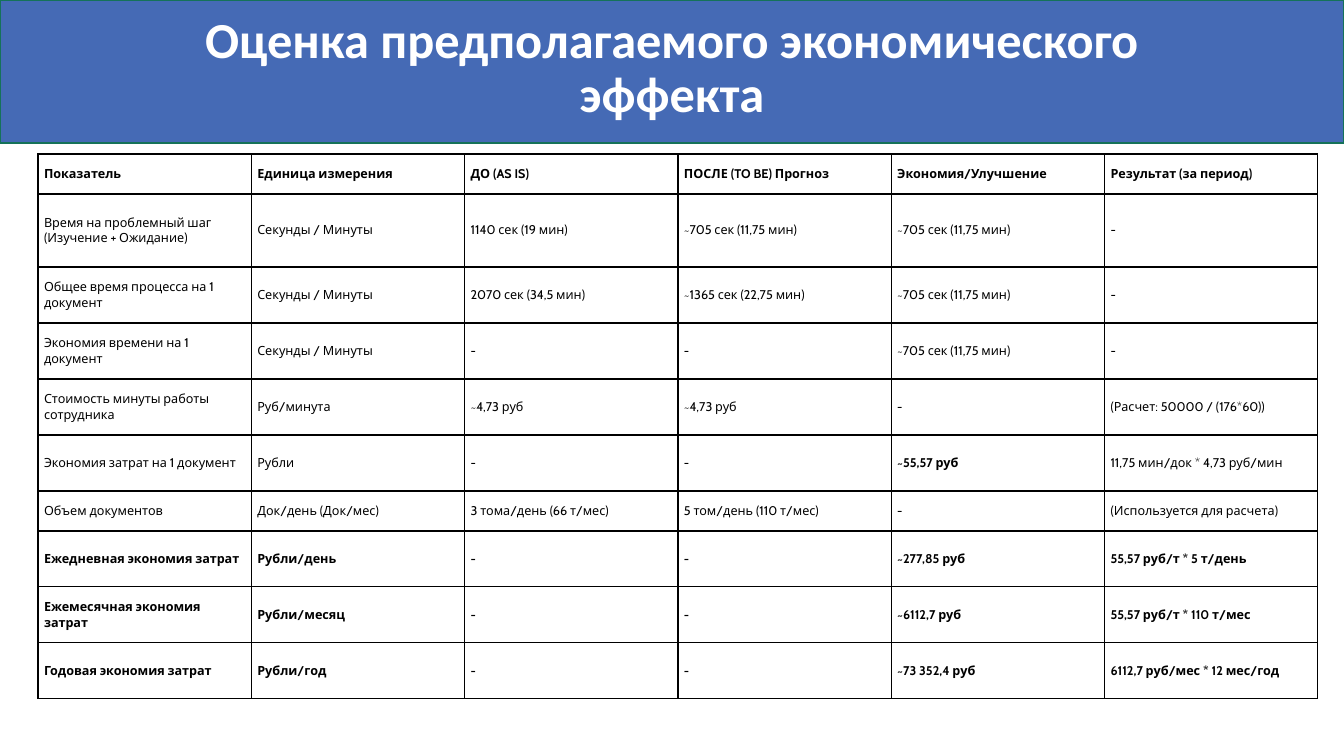
from dataclasses import dataclass

from lxml import etree
from pptx import Presentation
from pptx.dml.color import RGBColor
from pptx.enum.shapes import MSO_SHAPE
from pptx.enum.text import MSO_ANCHOR, MSO_AUTO_SIZE, PP_ALIGN
from pptx.oxml.ns import qn
from pptx.util import Emu, Pt

RECTANGLE = MSO_SHAPE.RECTANGLE
MIDDLE, BOTTOM = MSO_ANCHOR.MIDDLE, MSO_ANCHOR.BOTTOM
CENTER = PP_ALIGN.CENTER
NO_AUTOFIT = MSO_AUTO_SIZE.NONE
PIXELS_PER_INCH = 100.8
TITLE_ONLY = 5

TITLE = "Оценка предполагаемого экономического эффекта"
SECONDS = "Секунды / Минуты"
SAVED_TIME = "~705 сек (11,75 мин)"
COST_PER_DOCUMENT = "~55,57 руб"
ROWS = [
    ("Показатель", "Единица измерения", "ДО (AS IS)", "ПОСЛЕ (TO BE) Прогноз",
     "Экономия/Улучшение", "Результат (за период)"),
    ("Время на проблемный шаг (Изучение + Ожидание)", SECONDS, "1140 сек (19 мин)",
     SAVED_TIME, SAVED_TIME, "-"),
    ("Общее время процесса на 1 документ", SECONDS, "2070 сек (34,5 мин)",
     "~1365 сек (22,75 мин)", SAVED_TIME, "-"),
    ("Экономия времени на 1 документ", SECONDS, "-", "-", SAVED_TIME, "-"),
    ("Стоимость минуты работы сотрудника", "Руб/минута", "~4,73 руб", "~4,73 руб", "-",
     "(Расчет: 50000 / (176*60))"),
    ("Экономия затрат на 1 документ", "Рубли", "-", "-", COST_PER_DOCUMENT,
     "11,75 мин/док * 4,73 руб/мин"),
    ("Объем документов", "Док/день (Док/мес)", "3 тома/день (66 т/мес)",
     "5 том/день (110 т/мес)", "-", "(Используется для расчета)"),
    ("Ежедневная экономия затрат", "Рубли/день", "-", "-", "~277,85 руб",
     "55,57 руб/т * 5 т/день"),
    ("Ежемесячная экономия затрат", "Рубли/месяц", "-", "-", "~6112,7 руб",
     "55,57 руб/т * 110 т/мес"),
    ("Годовая экономия затрат", "Рубли/год", "-", "-", "~73 352,4 руб",
     "6112,7 руб/мес * 12 мес/год"),
]
ROW_HEIGHTS = [40, 73, 56, 56, 56, 56, 40, 56, 56, 56]
BOLD_ROWS = {0, 7, 8, 9}


@dataclass(frozen=True)
class Theme:
    band: str = "456AB5"
    band_line: str = "157259"
    paper: str = "FFFFFF"
    ink: str = "000000"
    title_font: str = "Calibri"
    table_font: str = "Cabin"
    title_size: int = 36
    table_size: int = 9
    line_width: int = 1


def px(length):
    return Emu(round(length * 914400 / PIXELS_PER_INCH))


class SlideBuilder:
    """Draws themed elements on the current slide, with lengths in pixels."""

    def __init__(self, slide, theme):
        self.slide = slide
        self.theme = theme

    def add_run(self, paragraph, text, font_name, size, color, bold):
        run = paragraph.add_run()
        run.text = text
        run.font.name = font_name
        run.font.size = Pt(size)
        run.font.bold = bold
        run.font.color.rgb = RGBColor.from_string(color)

    def band(self, left, top, width, height):
        shape = self.slide.shapes.add_shape(
            RECTANGLE, px(left), px(top), px(width), px(height))
        shape.shadow.inherit = False
        shape.fill.solid()
        shape.fill.fore_color.rgb = RGBColor.from_string(self.theme.band)
        shape.line.color.rgb = RGBColor.from_string(self.theme.band_line)
        shape.line.width = Pt(self.theme.line_width)
        self.slide.shapes.title.element.addprevious(shape.element)

    def title(self, text, left, top, width, height):
        title = self.slide.shapes.title
        title.left, title.top = px(left), px(top)
        title.width, title.height = px(width), px(height)
        frame = title.text_frame
        frame.auto_size = NO_AUTOFIT
        frame.word_wrap = True
        frame.vertical_anchor = BOTTOM
        paragraph = frame.paragraphs[0]
        paragraph.alignment = CENTER
        paragraph.line_spacing = 0.9
        self.add_run(paragraph, text, self.theme.title_font, self.theme.title_size,
                     self.theme.paper, True)

    def cell_borders(self, cell):
        properties = cell._tc.get_or_add_tcPr()
        for side in ("a:lnL", "a:lnR", "a:lnT", "a:lnB"):
            line = etree.SubElement(properties, qn(side), w=str(Pt(self.theme.line_width)))
            fill = etree.SubElement(line, qn("a:solidFill"))
            etree.SubElement(fill, qn("a:srgbClr"), val=self.theme.ink)

    def cell(self, cell, text, bold):
        cell.margin_left = cell.margin_right = px(6)
        cell.margin_top = cell.margin_bottom = px(3)
        cell.vertical_anchor = MIDDLE
        self.cell_borders(cell)
        cell.fill.solid()
        cell.fill.fore_color.rgb = RGBColor.from_string(self.theme.paper)
        self.add_run(cell.text_frame.paragraphs[0], text, self.theme.table_font,
                     self.theme.table_size, self.theme.ink, bold)

    def table(self, rows, heights, left, top, width):
        column_count = len(rows[0])
        table = self.slide.shapes.add_table(
            len(rows), column_count, px(left), px(top), px(width), px(sum(heights))).table
        table.first_row = table.horz_banding = False
        for column in table.columns:
            column.width = px(width / column_count)
        for row_index, (texts, height) in enumerate(zip(rows, heights)):
            table.rows[row_index].height = px(height)
            for column_index, text in enumerate(texts):
                bold = row_index in BOLD_ROWS or text == COST_PER_DOCUMENT
                self.cell(table.cell(row_index, column_index), text, bold)


def main():
    presentation = Presentation()
    presentation.slide_width, presentation.slide_height = px(1344), px(756)
    slide = presentation.slides.add_slide(presentation.slide_layouts[TITLE_ONLY])
    builder = SlideBuilder(slide, Theme())
    builder.band(0, 0, 1344, 143)
    builder.title(TITLE, 168, 32, 1008, 97)
    builder.table(ROWS, ROW_HEIGHTS, 38, 154, 1280)
    presentation.save("out.pptx")


if __name__ == "__main__":
    main()
